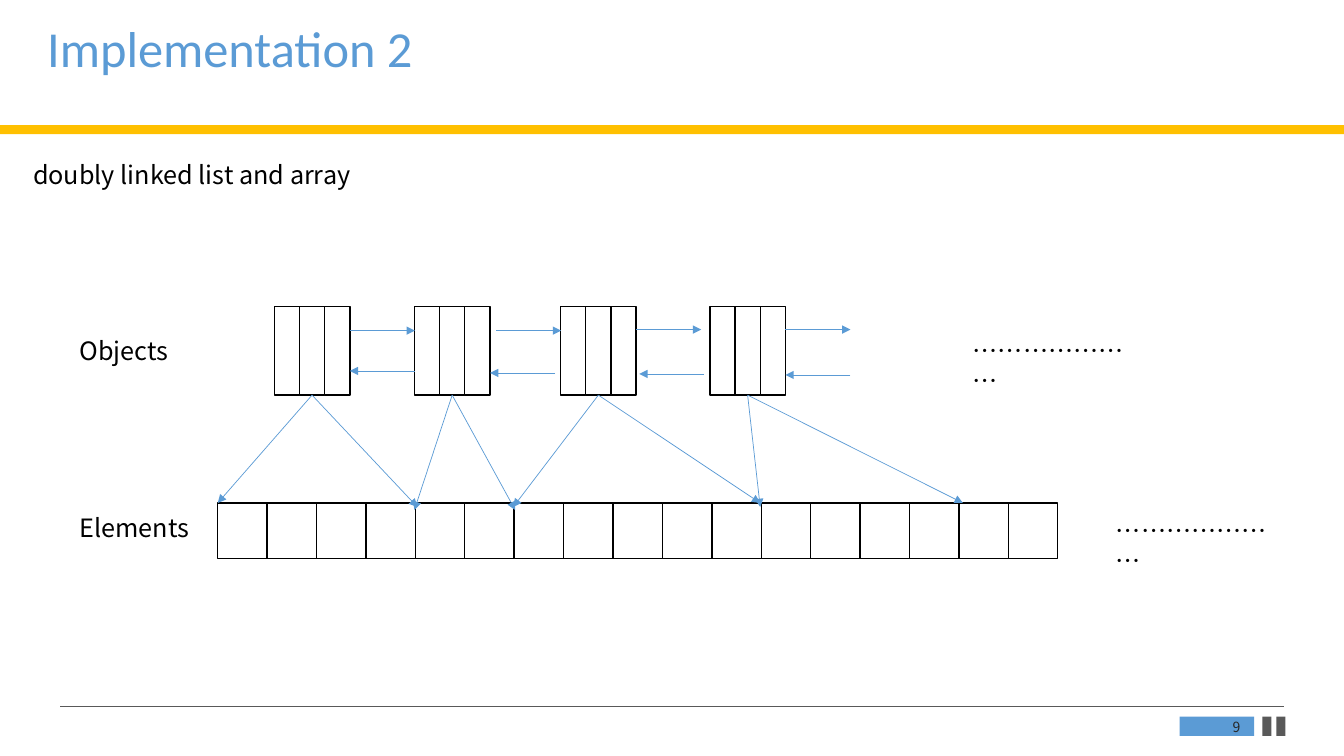
from lxml.etree import SubElement
from pptx import Presentation
from pptx.dml.color import RGBColor
from pptx.enum.shapes import MSO_CONNECTOR, MSO_SHAPE
from pptx.enum.text import MSO_ANCHOR as ANCHOR, PP_ALIGN as ALIGN
from pptx.oxml.ns import qn
from pptx.util import Inches, Pt

COLORS = {"blue": "5B9BD5", "gold": "FFC000", "gray": "595959",
          "dark": "262626", "black": "000000", "white": "FFFFFF"}
RGB = {name: RGBColor.from_string(value) for name, value in COLORS.items()}
SANS = "Noto Sans CJK SC"

prs = Presentation()
prs.slide_width, prs.slide_height = Inches(13.33), Inches(7.5)
s = prs.slides.add_slide(prs.slide_layouts[6])


def add_rect(x, y, w, h, fill, outline=None):
    sp = s.shapes.add_shape(MSO_SHAPE.RECTANGLE, Inches(x), Inches(y), Inches(w), Inches(h))
    sp.shadow.inherit = False
    sp.fill.solid()
    sp.fill.fore_color.rgb = RGB[fill]
    if outline:
        sp.line.color.rgb = RGB[outline]
        sp.line.width = Pt(1)
    else:
        sp.line.fill.background()


def add_line(x1, y1, x2, y2, color="blue", arrow=True):
    cx = s.shapes.add_connector(MSO_CONNECTOR.STRAIGHT,
                                Inches(x1), Inches(y1), Inches(x2), Inches(y2))
    cx.line.color.rgb = RGB[color]
    cx.line.width = Pt(0.5)
    if arrow:
        SubElement(cx.line._get_or_add_ln(), qn("a:tailEnd"), type="triangle")
    SubElement(cx._element.spPr, qn("a:effectLst"))


# Slide frame
add_rect(0, 1.24, 13.33, 0.09, "gold")
add_line(0.6, 7.01, 12.73, 7.01, "gray", arrow=False)
for x, w, fill in [(11.7, 0.74, "blue"), (12.52, 0.09, "gray"), (12.66, 0.09, "gray")]:
    add_rect(x, 7.11, w, 0.19, fill)

# Linked list objects, three fields each
FIELD_W, OBJ_TOP, OBJ_H = 0.25, 3.04, 0.88
object_lefts = [2.72, 4.11, 5.56, 7.04]
for left in object_lefts:
    for i in range(3):
        add_rect(left + i * FIELD_W, OBJ_TOP, FIELD_W, OBJ_H, "white", "black")

# Array elements
CELL_W, ARRAY_LEFT, ARRAY_TOP = 0.49, 2.16, 4.99
for i in range(17):
    add_rect(ARRAY_LEFT + i * CELL_W, ARRAY_TOP, CELL_W, 0.55, "white", "black")

# Next and previous links: (next start, y), (previous end, y)
LINK_W = 0.645
links = [((3.47, 3.28), (3.47, 3.68)), ((4.92, 3.28), (4.86, 3.7)),
         ((6.31, 3.27), (6.34, 3.71)), ((7.79, 3.27), (7.79, 3.72))]
for (next_x, next_y), (prev_x, prev_y) in links:
    add_line(next_x, next_y, next_x + LINK_W, next_y)
    add_line(prev_x + LINK_W, prev_y, prev_x, prev_y)

# Each object points at the bounds of its array range
ranges = [((2.16, 4.99), (4.14, 5.03)), ((4.11, 5.06), (5.11, 5.06)),
          ((5.09, 5.03), (7.54, 4.99)), ((7.54, 5.03), (9.55, 4.99))]
for left, bounds in zip(object_lefts, ranges):
    for x, y in bounds:
        add_line(left + 1.5 * FIELD_W, OBJ_TOP + OBJ_H, x, y)

# Text: wording, box, wrap, size, font, color, alignment, anchor
body = (18, SANS, "black", ALIGN.LEFT, ANCHOR.TOP)
texts = [
    ("Implementation 2", (0.37, 0.19, 12.18, 0.64), True,
     36, "Calibri", "blue", ALIGN.LEFT, ANCHOR.TOP),
    ("9", (11.74, 7.13, 0.66, 0.17), True, 10, SANS, "dark", ALIGN.RIGHT, ANCHOR.MIDDLE),
    ("doubly linked list and array", (0.23, 1.53, 3.74, 0.4), False, *body),
    ("Objects", (0.69, 3.28, 1.15, 0.4), True, *body),
    ("Elements", (0.69, 5.03, 1.41, 0.4), True, *body),
    ("…………………", (9.55, 3.28, 1.76, 0.4), True, *body),
    ("…………………", (10.97, 5.06, 1.76, 0.4), True, *body),
]
for text, box, wrap, size, font, color, align, anchor in texts:
    tf = s.shapes.add_textbox(*map(Inches, box)).text_frame
    tf.word_wrap, tf.vertical_anchor = wrap, anchor
    p = tf.paragraphs[0]
    p.alignment = align
    if size == 36:
        p.line_spacing = 0.9
    r = p.add_run()
    r.text = text
    for key, value in {"size": Pt(size), "name": font}.items():
        setattr(r.font, key, value)
    r.font.color.rgb = RGB[color]
    SubElement(r.font._element, qn("a:ea"), typeface=font)

prs.save("out.pptx")
